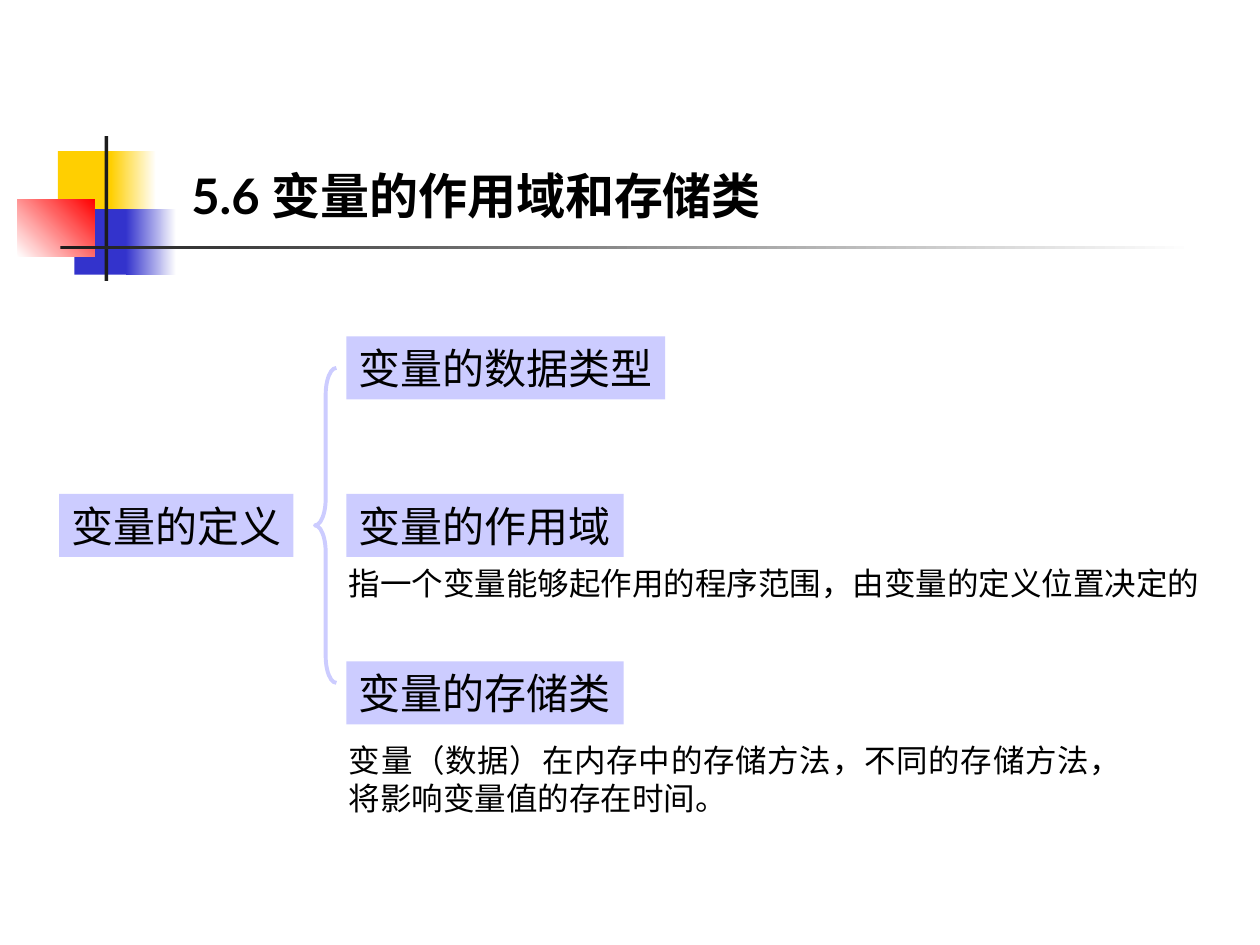
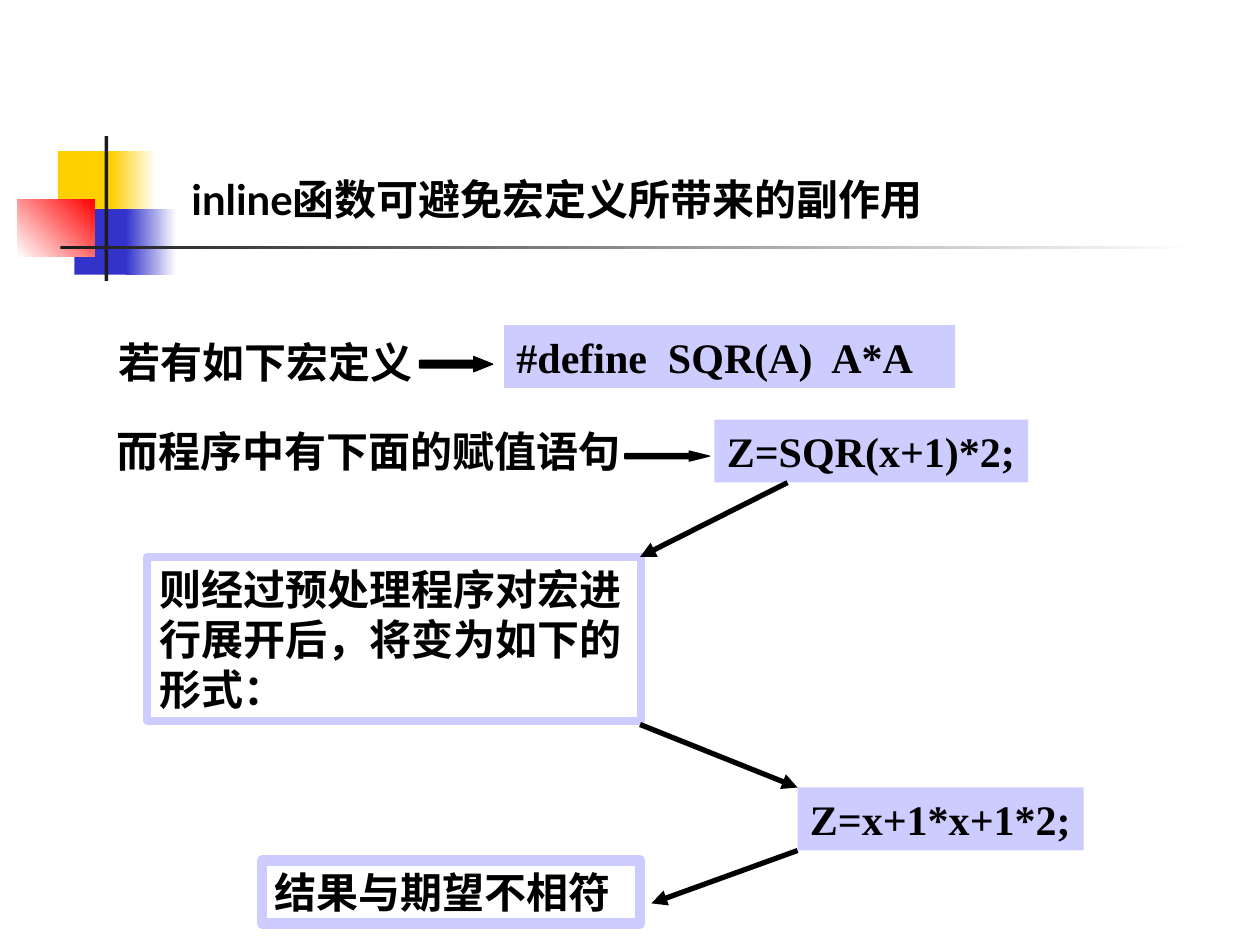
"""Build two slides on variable scope and on macros versus inline functions."""
from typing import NamedTuple, Optional

from lxml import etree
from pptx import Presentation
from pptx.dml.color import RGBColor
from pptx.enum import shapes, text
from pptx.oxml import ns
from pptx.util import Inches, Pt

BLACK = RGBColor(0x00, 0x00, 0x00)
WHITE = RGBColor(0xFF, 0xFF, 0xFF)
YELLOW = RGBColor(0xFF, 0xCF, 0x01)
BLUE = RGBColor(0x33, 0x33, 0xCC)
RED = RGBColor(0xFF, 0x00, 0x00)
CHARCOAL = RGBColor(0x1C, 0x1C, 0x1C)
LILAC = RGBColor(0xCC, 0xCC, 0xFF)

LATO, CJK, TIMES = "Lato", "Noto Sans CJK SC", "Times New Roman"
RECT = shapes.MSO_SHAPE.RECTANGLE


class Box(NamedTuple):
    """Position and size in inches."""
    x: float
    y: float
    w: float
    h: float


class Band(NamedTuple):
    """Rectangle of the shared decoration, plain or fading to a second colour."""
    box: Box
    color: RGBColor
    end: Optional[RGBColor] = None
    angle: float = 0


class Run(NamedTuple):
    """Piece of text in one font."""
    text: str
    font: str = CJK


class Label(NamedTuple):
    """Text with its place, style and optional fill or outline."""
    box: Box
    runs: tuple[Run, ...]
    size: float = 24
    bold: bool = False
    fill: Optional[RGBColor] = None
    border: float = 0
    wrap: bool = False
    anchor: text.MSO_ANCHOR = text.MSO_ANCHOR.TOP
    align: text.PP_ALIGN = text.PP_ALIGN.LEFT
    spacing: float = 1


class Arrow(NamedTuple):
    """Straight arrow between two points in inches."""
    x1: float
    y1: float
    x2: float
    y2: float


class BlockArrow(NamedTuple):
    """Solid right arrow with the ratio of head length to height."""
    box: Box
    head: float


BANDS = (
    Band(Box(0.46, 1.2, 0.48, 0.52), YELLOW),
    Band(Box(0.88, 1.2, 0.36, 0.52), YELLOW, WHITE),
    Band(Box(0.59, 1.66, 0.46, 0.52), BLUE),
    Band(Box(1, 1.66, 0.4, 0.52), BLUE, WHITE),
    Band(Box(0.14, 1.58, 0.61, 0.46), WHITE, RED, 45),
    Band(Box(0.83, 1.08, 0.03, 1.15), CHARCOAL),
    Band(Box(0.48, 1.95, 9, 0.03), CHARCOAL, WHITE),
)


def term(x: float, y: float, w: float, words: str) -> Label:
    """Return a lilac tag naming a term."""
    return Label(Box(x, y, w, 0.5), (Run(words),), fill=LILAC)


def code(x: float, y: float, w: float, words: str) -> Label:
    """Return a lilac tag holding a line of code."""
    return Label(Box(x, y, w, 0.5), (Run(words, TIMES),), bold=True, fill=LILAC)


def remark(box: Box, words: str, **style) -> Label:
    """Return a bold remark."""
    return Label(box, (Run(words),), bold=True, **style)


SCOPE_LABELS = (
    term(0.47, 3.92, 1.86, "变量的定义"),
    term(2.75, 2.67, 2.53, "变量的数据类型"),
    term(2.75, 3.92, 2.2, "变量的作用域"),
    term(2.75, 5.25, 2.2, "变量的存储类"),
    Label(Box(2.67, 4.43, 6.95, 0.4),
          (Run("指一个变量能够起作用的程序范围，由变量的定义位置决定的"),), 18),
    Label(Box(2.67, 5.83, 6.33, 0.7),
          (Run("变量（数据）在内存中的存储方法，不同的存储方法，将影响变量值的存在时间。"),),
          18, wrap=True, align=text.PP_ALIGN.JUSTIFY),
)
MACRO_LABELS = (
    remark(Box(0.84, 2.67, 2.53, 0.46), "若有如下宏定义", spacing=0.9),
    code(4, 2.58, 3.58, "#define  SQR(A)  A*A")._replace(wrap=True),
    remark(Box(0.83, 3.33, 5.75, 0.83), "而程序中有下面的赋值语句", wrap=True),
    code(5.67, 3.33, 2.49, "Z=SQR(x+1)*2;"),
    remark(Box(1.17, 4.42, 3.92, 1.3),
           "则经过预处理程序对宏进行展开后，将变为如下的形式：", border=4.5, wrap=True),
    code(6.33, 6.25, 2.27, "Z=x+1*x+1*2;"),
    remark(Box(2.08, 6.83, 3, 0.5), "结果与期望不相符", border=6, wrap=True),
)
BLOCK_ARROWS = (
    BlockArrow(Box(3.33, 2.83, 0.58, 0.12), 1.25),
    BlockArrow(Box(4.96, 3.58, 0.67, 0.08), 2),
)
ARROWS = (
    Arrow(6.25, 3.83, 5.08, 4.42),
    Arrow(5.08, 5.75, 6.33, 6.25),
    Arrow(6.33, 6.75, 5.17, 7.17),
)


def add_preset(s, kind: shapes.MSO_SHAPE, box: Box, fill: Optional[RGBColor] = None,
               line: Optional[RGBColor] = None, width: float = 0):
    """Add a shadowless preset shape with optional fill and line."""
    sp = s.shapes.add_shape(kind, *map(Inches, box))
    sp.shadow.inherit = False
    if fill is None:
        sp.fill.background()
    else:
        sp.fill.solid()
        sp.fill.fore_color.rgb = fill
    if line is None:
        sp.line.fill.background()
    else:
        sp.line.color.rgb = line
        sp.line.width = Pt(width)
    return sp


def add_band(s, band: Band) -> None:
    """Add one rectangle of the decoration."""
    sp = add_preset(s, RECT, band.box, band.color)
    if band.end is not None:
        sp.fill.gradient()
        sp.fill.gradient_angle = band.angle
        for stop, color, place in zip(sp.fill.gradient_stops, (band.color, band.end), (0, 1)):
            stop.color.rgb = color
            stop.position = place


def add_label(s, label: Label) -> None:
    """Add a label as a text box, or as a rectangle if filled or outlined."""
    if label.fill is not None or label.border:
        line = LILAC if label.border else None
        sp = add_preset(s, RECT, label.box, label.fill, line, label.border)
    else:
        sp = s.shapes.add_textbox(*map(Inches, label.box))
    tf = sp.text_frame
    tf.word_wrap = label.wrap
    tf.vertical_anchor = label.anchor
    p = tf.paragraphs[0]
    p.alignment = label.align
    p.line_spacing = label.spacing
    for run in label.runs:
        r = p.add_run()
        r.text = run.text
        r.font.size = Pt(label.size)
        r.font.bold = label.bold
        r.font.color.rgb = BLACK
        r.font.name = run.font
        ea = etree.SubElement(r.font._element, ns.qn("a:ea"))
        ea.set("typeface", CJK)


def add_arrow(s, arrow: Arrow) -> None:
    """Add a black line ending in a triangle."""
    x1, y1, x2, y2 = map(Inches, arrow)
    cx = s.shapes.add_connector(shapes.MSO_CONNECTOR.STRAIGHT, x1, y1, x2, y2)
    cx.line.color.rgb = BLACK
    cx.line.width = Pt(3)
    etree.SubElement(cx.line._get_or_add_ln(), ns.qn("a:tailEnd")).set("type", "triangle")
    etree.SubElement(cx._element.spPr, ns.qn("a:effectLst"))


def add_block_arrow(s, arrow: BlockArrow) -> None:
    """Add a solid right arrow."""
    sp = add_preset(s, shapes.MSO_SHAPE.RIGHT_ARROW, arrow.box, BLACK, BLACK, 0.75)
    sp.adjustments[1] = arrow.head


def add_slide(prs, title: tuple[Run, ...], size: float, labels: tuple[Label, ...]):
    """Add a slide with the decoration, a title and labels."""
    s = prs.slides.add_slide(prs.slide_layouts[6])
    for band in BANDS:
        add_band(s, band)
    heading = Label(Box(1.42, 1.17, 6.58, 0.66), title, size, True,
                    wrap=True, anchor=text.MSO_ANCHOR.BOTTOM)
    for label in (heading, *labels):
        add_label(s, label)
    return s


def main() -> None:
    """Build and save the presentation."""
    prs = Presentation()
    prs.slide_width, prs.slide_height = Inches(10), Inches(7.5)

    s = add_slide(prs, (Run("5.6 ", LATO), Run("变量的作用域和存储类")), 28, SCOPE_LABELS)
    brace = add_preset(s, shapes.MSO_SHAPE.LEFT_BRACE, Box(2.5, 2.92, 0.17, 2.5),
                       line=LILAC, width=2.25)
    brace.adjustments[0] = 1.25

    s = add_slide(prs, (Run("inline", LATO), Run("函数可避免宏定义所带来的副作用")), 24,
                  MACRO_LABELS)
    for block in BLOCK_ARROWS:
        add_block_arrow(s, block)
    for arrow in ARROWS:
        add_arrow(s, arrow)

    prs.save("out.pptx")


if __name__ == "__main__":
    main()
